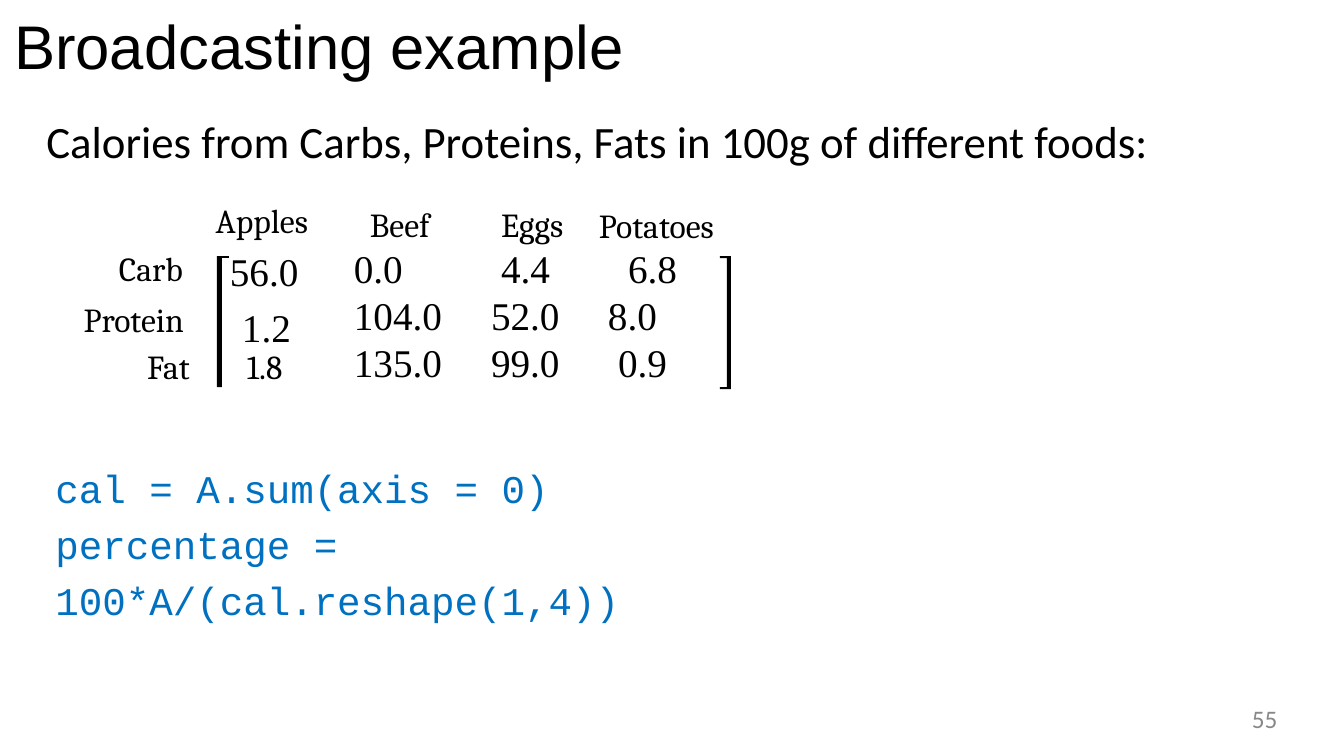
import pptx
import pptx.util
import pptx.dml.color
import pptx.enum.text

PX = 9144
BLACK = "000000"
BLUE = "0070C0"
GRAY = "888888"
ALIGN = pptx.enum.text.PP_ALIGN
LABEL = {"name": "Cambria", "size": pptx.util.Pt(24)}
NUMBER = {"name": "Times New Roman", "size": pptx.util.Pt(28)}
CODE = {"name": "Courier New", "size": pptx.util.Pt(28)}
HEADING = {"name": "Arial", "size": pptx.util.Pt(44)}
BODY = {"name": "Calibri", "size": pptx.util.Pt(32)}
PAGE = {"name": "Calibri", "size": pptx.util.Pt(18)}


def px(n):
    return pptx.util.Emu(n * PX)


def rgb(value):
    return pptx.dml.color.RGBColor.from_string(value)


def fill_text(sp, box, lines, font, color=BLACK, spacing=1.0, align=ALIGN.LEFT):
    sp.left, sp.top, sp.width, sp.height = map(px, box)
    tf = sp.text_frame
    frame = {"word_wrap": True, "auto_size": pptx.enum.text.MSO_AUTO_SIZE.NONE,
             "vertical_anchor": pptx.enum.text.MSO_ANCHOR.TOP,
             "margin_left": 0, "margin_top": px(1), "margin_right": 0, "margin_bottom": 0}
    for key, value in frame.items():
        setattr(tf, key, value)
    for i, (text, indent) in enumerate(lines):
        p = tf.paragraphs[0] if i == 0 else tf.add_paragraph()
        pPr = p._p.get_or_add_pPr()
        pPr.set("marL", str(px(indent)))
        pPr.set("indent", "0")
        p.alignment = align
        p.line_spacing = spacing
        r = p.add_run()
        r.text = text
        for key, value in font.items():
            setattr(r.font, key, value)
        r.font.color.rgb = rgb(color)


def add_text(s, box, lines, font, **style):
    fill_text(s.shapes.add_textbox(0, 0, 0, 0), box, lines, font, **style)


def add_bracket(s, points):
    builder = s.shapes.build_freeform(*points[0], scale=PX)
    builder.add_line_segments(points[1:], close=True)
    sp = builder.convert_to_shape()
    sp.shadow.inherit = False
    sp.fill.solid()
    sp.fill.fore_color.rgb = rgb(BLACK)
    sp.line.fill.background()


def add_matrix(s):
    labels = [("Apples", 214, 197), ("Beef", 367, 201), ("Eggs", 497, 201),
              ("Potatoes", 594, 202), ("Fat", 146, 342), ("1.8", 245, 342)]
    for text, left, top in labels:
        add_text(s, (left, top, 130, 43), [(text, 0)], LABEL)
    add_text(s, (82, 234, 117, 105), [("Carb", 36), ("Protein", 1)], LABEL, spacing=1.27)
    add_text(s, (226, 236, 108, 113), [("56.0", 2), ("1.2", 14)], NUMBER, spacing=1.18)
    columns = [(351, [("0.0", 0), ("104.0", 0), ("135.0", 0)]),
               (487, [("4.4", 10), ("52.0", 0), ("99.0", 0)]),
               (603, [("6.8", 20), ("8.0", 0), ("0.9", 10)])]
    for left, lines in columns:
        add_text(s, (left, 241, 105, 150), lines, NUMBER)
    add_bracket(s, [(227, 254), (215, 254), (215, 384), (220, 384), (220, 256), (227, 256)])
    add_bracket(s, [(725, 254), (714, 254), (714, 256), (721, 256),
                    (721, 384), (714, 384), (714, 386), (725, 386)])


def main():
    prs = pptx.Presentation()
    prs.slide_width, prs.slide_height = px(1333), px(750)
    s = prs.slides.add_slide(prs.slide_layouts[5])
    fill_text(s.shapes.title, (13, 7, 630, 76), [("Broadcasting example", 1)], HEADING)
    intro = "Calories from Carbs, Proteins, Fats in 100g of different foods:"
    add_text(s, (45, 112, 1120, 56), [(intro, 1)], BODY)
    add_matrix(s)
    code = [("cal = A.sum(axis = 0)", 1), ("percentage = 100*A/(cal.reshape(1,4))", 1)]
    add_text(s, (54, 451, 860, 170), code, CODE, color=BLUE, spacing=1.19)
    add_text(s, (960, 697, 307, 38), [("55", 0)], PAGE, color=GRAY, align=ALIGN.RIGHT)
    prs.save("out.pptx")


if __name__ == "__main__":
    main()
